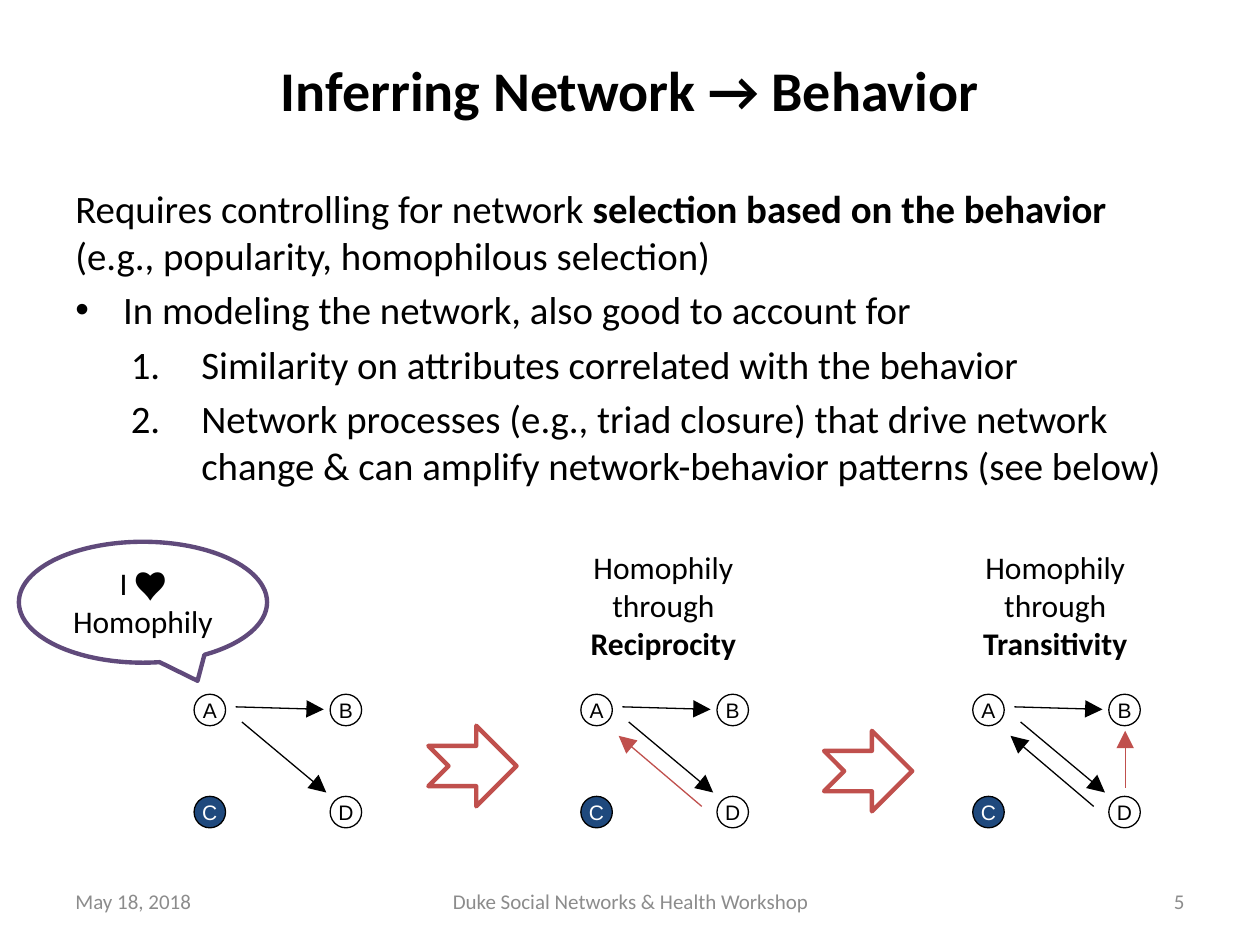
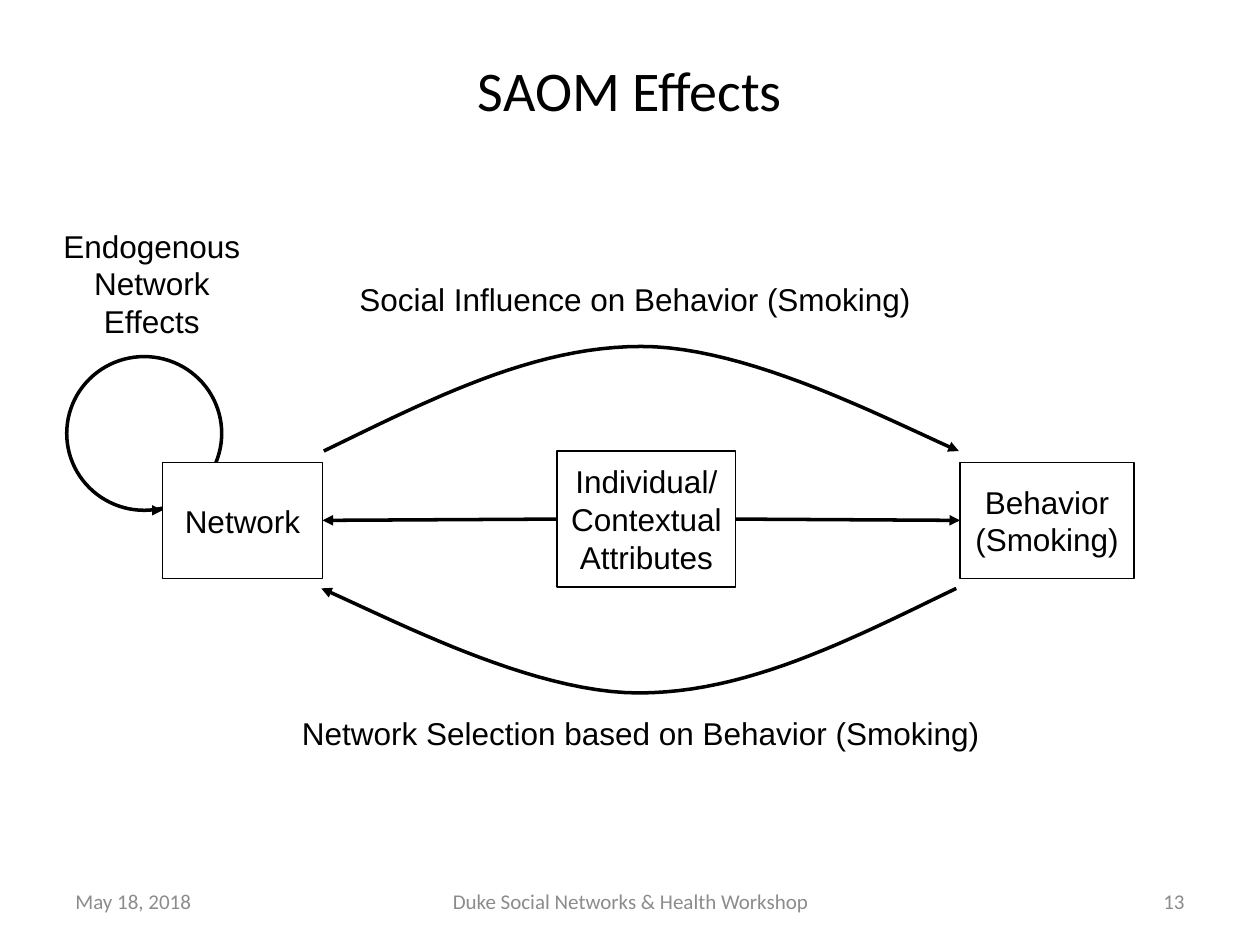
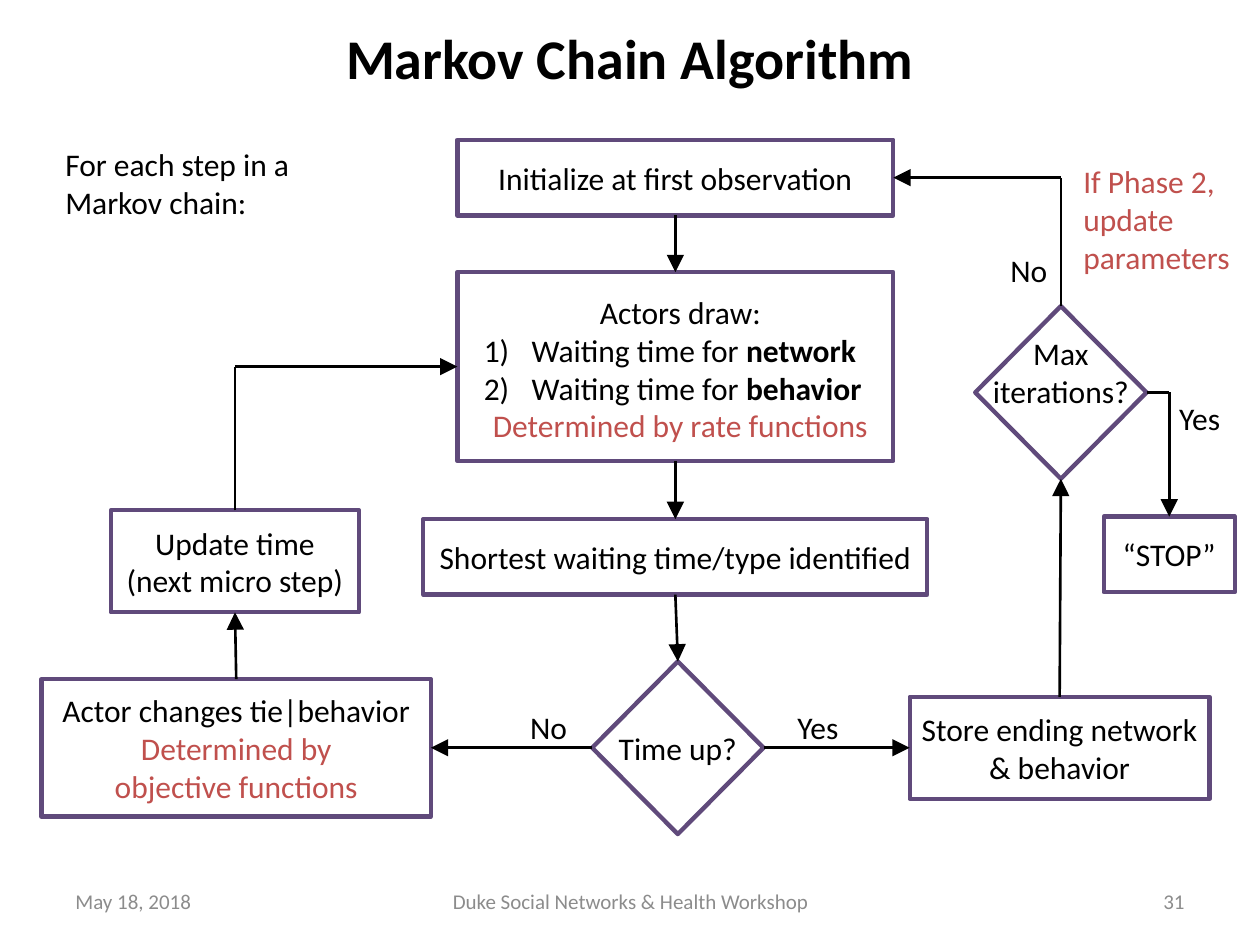
from dataclasses import dataclass

import pptx
import pptx.dml.color
import pptx.enum.shapes
import pptx.enum.text
import pptx.oxml
import pptx.oxml.ns
import pptx.util

RGBColor = pptx.dml.color.RGBColor
SHAPE = pptx.enum.shapes.MSO_SHAPE
ALIGN = pptx.enum.text.PP_ALIGN
ANCHOR = pptx.enum.text.MSO_ANCHOR

BLACK = RGBColor(0x00, 0x00, 0x00)
WHITE = RGBColor(0xFF, 0xFF, 0xFF)
NAVY = RGBColor(0x1F, 0x49, 0x7D)
PURPLE = RGBColor(0x60, 0x4A, 0x7B)
RED = RGBColor(0xC0, 0x50, 0x4D)
GREY = RGBColor(0x8C, 0x8C, 0x8C)

# The grid has 100 columns and 75 rows of square cells.
CELL = pptx.util.Inches(0.1)
COLUMNS, ROWS = 100, 75
TOP, LEFT, BOTTOM, RIGHT = range(4)


@dataclass(frozen=True)
class Box:
    """A region of the slide, in grid cells."""
    left: float
    top: float
    width: float
    height: float

    def inner(self, left, top, width, height):
        return Box(self.left + left, self.top + top, width, height)

    def point(self, x, y):
        return round((self.left + x) * CELL), round((self.top + y) * CELL)

    def frame(self):
        return (*self.point(0, 0), round(self.width * CELL), round(self.height * CELL))


@dataclass
class Span:
    text: str
    bold: bool = False


@dataclass
class Line:
    """One paragraph: its spans, and what sets it apart from its box."""
    spans: list
    color: RGBColor = None
    align: int = None
    bullet: str = ""
    indent: float = 0
    hang: float = 0
    level: int = 0


def element(parent, tag, **attributes):
    child = pptx.oxml.parse_xml(f"<a:{tag} {pptx.oxml.ns.nsdecls('a')}/>")
    for name, value in attributes.items():
        child.set(name, value)
    parent.append(child)


def add_bullet(para, line):
    props = para._p.get_or_add_pPr()
    props.set("marL", str(pptx.util.Inches(line.indent)))
    props.set("indent", str(-pptx.util.Inches(line.hang)))
    if line.bullet == "•":
        element(props, "buFont", typeface="Arial")
        element(props, "buChar", char=line.bullet)
    else:
        element(props, "buFont", typeface="+mj-lt")
        element(props, "buAutoNum", type=line.bullet)


def write(shape, lines, size=18, font="Calibri", color=BLACK, bold=False,
          align=ALIGN.CENTER, anchor=ANCHOR.MIDDLE, margins=(0.1, 0.05, 0.1, 0.05),
          wrap=True, before=0):
    frame = shape.text_frame
    frame.word_wrap = wrap
    frame.vertical_anchor = anchor
    (frame.margin_left, frame.margin_top,
     frame.margin_right, frame.margin_bottom) = map(pptx.util.Inches, margins)
    for number, line in enumerate(lines):
        if isinstance(line, str):
            line = Line([Span(line, bold)])
        para = frame.add_paragraph() if number else frame.paragraphs[0]
        if line.bullet:
            add_bullet(para, line)
        para.level = line.level
        para.alignment = align if line.align is None else line.align
        para.space_before = pptx.util.Pt(before if number else 0)
        for part in line.spans:
            span = para.add_run()
            span.text = part.text
            span.font.name = font
            span.font.size = pptx.util.Pt(size)
            span.font.bold = part.bold
            span.font.color.rgb = line.color or color


def add_text(page, box, lines, **style):
    write(page.shapes.add_textbox(*box.frame()), lines, **style)


def style_outline(shape, color, width, fill=None):
    shape.shadow.inherit = False
    shape.line.color.rgb = color
    shape.line.width = pptx.util.Pt(width)
    if fill is None:
        shape.fill.background()
    else:
        shape.fill.solid()
        shape.fill.fore_color.rgb = fill


def add_outlined(page, kind, box, color=BLACK, width=0.75, fill=None):
    shape = page.shapes.add_shape(kind, *box.frame())
    style_outline(shape, color, width, fill)
    return shape


def add_arrowhead(shape, size):
    element(shape.get_or_add_ln(), "tailEnd", type="triangle", w=size, len=size)


def link(page, start, end, color=BLACK, width=1.5, head="lg"):
    """Join two ends, each a point or a (shape, side) pair."""
    connector = page.shapes.add_connector(
        pptx.enum.shapes.MSO_CONNECTOR.STRAIGHT, 0, 0, 0, 0)
    if isinstance(start[0], int):
        connector.begin_x, connector.begin_y = start
    else:
        connector.begin_connect(*start)
    if isinstance(end[0], int):
        connector.end_x, connector.end_y = end
    else:
        connector.end_connect(*end)
    connector.line.color.rgb = color
    connector.line.width = pptx.util.Pt(width)
    if head:
        add_arrowhead(connector, head)
    element(connector._element.spPr, "effectLst")


def add_page(deck, title, number, title_box=Box(5, 0.8, 90, 12.5), bold=True):
    page = deck.slides.add_slide(deck.slide_layouts[6])
    add_text(page, title_box, [title], size=32, bold=bold)
    footer = Box(5, 69.5, 90, 4)
    for left, width, text, align in (
            (0, 23.3, "May 18, 2018", ALIGN.LEFT),
            (29.2, 31.7, "Duke Social Networks & Health Workshop", ALIGN.CENTER),
            (66.7, 23.3, str(number), ALIGN.RIGHT)):
        add_text(page, footer.inner(left, 0, width, footer.height), [text],
                 size=12, color=GREY, align=align)
    return page


TIES = {"AB": ((3.3, 1), (10.3, 1.2)), "AD": ((3.8, 2.2), (10.5, 7.8)),
        "DA": ((9.6, 8.9), (3, 3.3)), "DB": ((12.1, 7.4), (12.1, 2.9))}


def add_triad(page, box, ties, new_tie=None, mechanism=None):
    """Draw four actors in the corners of the box, and the ties among them."""
    for tie in ties:
        start, end = TIES[tie]
        link(page, box.point(*start), box.point(*end), width=0.75,
             color=RED if tie == new_tie else BLACK)
    node = 2.5
    for number, actor in enumerate("ABCD"):
        row, column = divmod(number, 2)
        place = box.inner(column * (box.width - node), row * (box.height - node), node, node)
        chosen = actor == "C"
        circle = add_outlined(page, SHAPE.OVAL, place, fill=NAVY if chosen else WHITE)
        write(circle, [actor], size=12, font="Arial", color=WHITE if chosen else BLACK,
              margins=(0, 0, 0, 0), wrap=False)
    if mechanism:
        add_text(page, box.inner(-0.35, -12.1, 13.8, 10.1),
                 ["Homophily", "through", Line([Span(mechanism, True)])],
                 anchor=ANCHOR.TOP, wrap=False)


def build_inference(deck):
    page = add_page(deck, "Inferring Network → Behavior", 5)
    numbered = dict(bullet="arabicPeriod", indent=1, hang=0.56, level=1)
    add_text(page, Box(5, 14.2, 90, 28.4), [
        Line([Span("Requires controlling for network "),
              Span("selection based on the behavior", True),
              Span(" (e.g., popularity, homophilous selection)")]),
        Line([Span("In modeling the network, also good to account for")],
             bullet="•", indent=0.38, hang=0.38),
        Line([Span("Similarity on attributes correlated with the behavior")], **numbered),
        Line([Span("Network processes (e.g., triad closure) that drive network "
                   "change & can amplify network-behavior patterns (see below)")], **numbered),
    ], size=22.2, align=ALIGN.LEFT, anchor=ANCHOR.TOP, before=4.44)

    callout = add_outlined(page, SHAPE.OVAL_CALLOUT, Box(1.5, 43, 19.7, 9.6), PURPLE, 2.5)
    callout.adjustments[0], callout.adjustments[1] = 0.22, 0.65
    write(callout, ["I ♥", "Homophily"])

    for left, *content in ((15.4, ("AB", "AD")),
                           (46.1, ("AB", "AD", "DA"), "DA", "Reciprocity"),
                           (77.2, ("AB", "AD", "DA", "DB"), "DB", "Transitivity")):
        add_triad(page, Box(left, 55.1, 13.3, 10.6), *content)
    for left, top in ((34, 57.6), (65.4, 58)):
        add_outlined(page, SHAPE.NOTCHED_RIGHT_ARROW, Box(left, top, 7, 6.4), RED, 2.5)


ARC = (((0, 1), (0.17, 0.5), (0.33, 0), (0.5, 0)),
       ((0.5, 0), (0.67, 0), (0.89, 0.71), (1, 1)))


def bezier(controls, t):
    weights = ((1 - t) ** 3, 3 * t * (1 - t) ** 2, 3 * t ** 2 * (1 - t), t ** 3)
    return [sum(w * c[axis] for w, c in zip(weights, controls)) for axis in (0, 1)]


def add_arc(page, box, turned=False):
    """Draw an arched arrow that fills the box, turned by half a circle if asked."""
    steps = 24
    shares = [bezier(half, step / steps) for half in ARC for step in range(steps + 1)]
    if turned:
        shares = [(1 - x, 1 - y) for x, y in shares]
    points = [box.point(x * box.width, y * box.height) for x, y in shares]
    builder = page.shapes.build_freeform(*points[0])
    builder.add_line_segments(points[1:], close=False)
    arc = builder.convert_to_shape()
    style_outline(arc, BLACK, 2)
    add_arrowhead(arc, "med")


def add_effects(page, box):
    add_outlined(page, SHAPE.OVAL, box.inner(2, 10.8, 12.3, 12.2), width=2)
    link(page, box.point(8.7, 23), box.point(9.6, 23), width=0.75, head="med")

    network, attributes, behavior = (
        add_outlined(page, SHAPE.RECTANGLE, box.inner(*place), fill=WHITE)
        for place in ((9.6, 19.2, 12.7, 9.2), (40.9, 18.3, 14.2, 10.8),
                      (72.9, 19.2, 13.8, 9.2)))
    for shape, lines in ((network, ["Network"]),
                         (attributes, ["Individual/ Contextual", "Attributes"]),
                         (behavior, ["Behavior", "(Smoking)"])):
        write(shape, lines, font="Arial", margins=(0.05,) * 4)
    link(page, (attributes, LEFT), (network, RIGHT), width=2, head="med")
    link(page, (attributes, RIGHT), (behavior, LEFT), width=2, head="med")

    add_arc(page, box.inner(22.4, 10, 50.4, 8.3))
    add_arc(page, box.inner(22.2, 29.2, 50.4, 8.3), turned=True)
    for place, text in (
            ((0, 0, 17.5, 11.7), "Endogenous Network Effects"),
            ((24.2, 4.2, 45.8, 5.2), "Social Influence on Behavior (Smoking)"),
            ((19.2, 38.7, 56.7, 3.8), "Network Selection based on Behavior (Smoking)")):
        add_text(page, box.inner(*place), [text], font="Arial", anchor=ANCHOR.TOP)


def add_flow(page, box):
    def step(place, lines, kind=SHAPE.RECTANGLE, **style):
        shape = add_outlined(page, kind, box.inner(*place), PURPLE, 2.5)
        write(shape, lines, **{"wrap": False, **style})
        return shape

    def red(text):
        return Line([Span(text)], color=RED)

    def waiting(kind):
        return Line([Span("Waiting time for "), Span(kind, True)], align=ALIGN.LEFT,
                    bullet="arabicParenR", indent=0.38, hang=0.38)

    start = step((33, 0.1, 34.6, 6), ["Initialize at first observation"])
    draw = step((33, 10.6, 34.6, 15),
                ["Actors draw:", waiting("network"), waiting("behavior"),
                 red("Determined by rate functions")],
                wrap=True, margins=(0.21, 0.08, 0.13, 0.05))
    shortest = step((30.3, 30.2, 40, 6), ["Shortest waiting time/type identified"])
    time_up = step((43.7, 41.5, 13.6, 13.7), ["Time up?"], SHAPE.DIAMOND)
    change = step((0, 42.9, 30.9, 10.9),
                  ["Actor changes tie|behavior", red("Determined by"),
                   red("objective functions")])
    update = step((5.5, 29.5, 19.7, 8.1), ["Update time", "(next micro step)"])
    stop = step((84.3, 30, 10.4, 6), ["“STOP”"])
    store = step((68.9, 44.3, 23.8, 8.1), ["Store ending network", "& behavior"])
    limit = step((74.1, 13.3, 13.6, 13.7), [], SHAPE.DIAMOND)

    for source, target in (((start, BOTTOM), (draw, TOP)),
                           ((draw, BOTTOM), (shortest, TOP)),
                           ((shortest, BOTTOM), (time_up, TOP)),
                           ((time_up, LEFT), (change, RIGHT)),
                           ((change, TOP), (update, BOTTOM)),
                           ((time_up, RIGHT), (store, LEFT)),
                           ((store, TOP), (limit, BOTTOM))):
        link(page, source, target)
    for source, corner, target in (((update, TOP), (15.35, 18.1), (draw, LEFT)),
                                   ((limit, TOP), (80.9, 3.1), (start, RIGHT)),
                                   ((limit, RIGHT), (89.5, 20.15), (stop, TOP))):
        link(page, source, box.point(*corner), head=None)
        link(page, box.point(*corner), target)

    for place, lines, style in (
            ((0.9, 0, 20, 7.1), ["For each step in a", "Markov chain:"], {}),
            ((81.7, 1.4, 14, 10.1), ["If Phase 2,", "update", "parameters"], {"color": RED}),
            ((74.4, 15, 13, 7.1), ["Max", "iterations?"], {"align": ALIGN.CENTER}),
            ((37.8, 44.7, 5, 4), ["No"], {}),
            ((59, 44.7, 5.5, 4), ["Yes"], {}),
            ((75.9, 8.4, 5, 4), ["No"], {}),
            ((89.3, 20.2, 5.5, 4), ["Yes"], {})):
        add_text(page, box.inner(*place), lines,
                 **{"align": ALIGN.LEFT, "anchor": ANCHOR.TOP, "wrap": False, **style})


def main():
    deck = pptx.Presentation()
    deck.slide_width, deck.slide_height = COLUMNS * CELL, ROWS * CELL
    build_inference(deck)
    add_effects(add_page(deck, "SAOM Effects", 13, bold=False), Box(3.3, 17.5, 86.7, 42.5))
    add_flow(add_page(deck, "Markov Chain Algorithm", 31, Box(5, 0.1, 90, 8.9)),
             Box(3.3, 11, 95.7, 55.2))
    deck.save("out.pptx")


if __name__ == "__main__":
    main()
